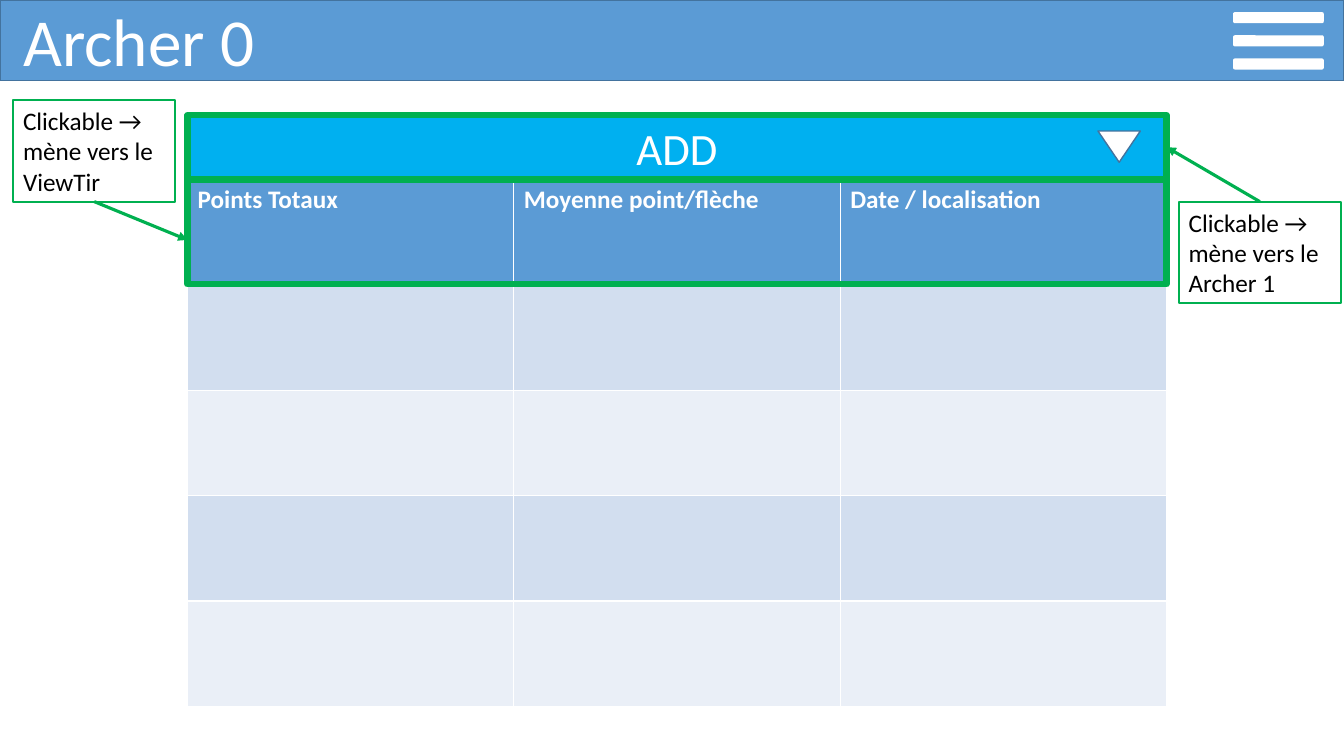
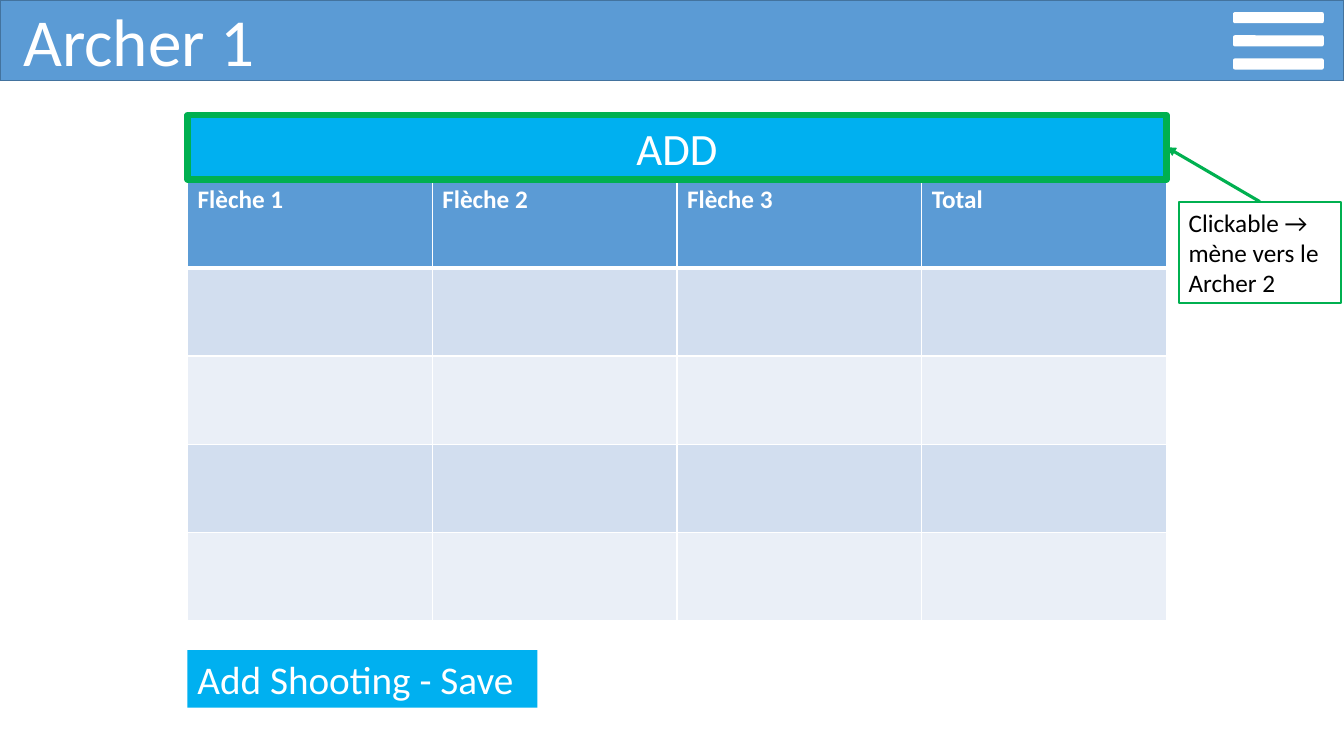
from dataclasses import dataclass

from lxml.etree import SubElement
from pptx import Presentation
from pptx.dml.color import RGBColor
from pptx.enum.shapes import MSO_CONNECTOR, MSO_SHAPE
from pptx.enum.text import MSO_ANCHOR, PP_ALIGN
from pptx.oxml.ns import qn
from pptx.util import Inches, Pt


@dataclass(frozen=True)
class Theme:
    font: str = "Calibri"
    white: str = "FFFFFF"
    black: str = "000000"
    blue: str = "5B9BD5"
    edge: str = "43739E"
    sky: str = "00B0F0"
    green: str = "00B050"
    dark: str = "D2DEEF"
    light: str = "EAEFF7"
    title: int = 48
    button: int = 32
    save: int = 28
    body: int = 18


LEFT, TOP, WIDTH, BAR = 1.86, 1.14, 9.71, 0.64
GRID = TOP + BAR
RECT = MSO_SHAPE.RECTANGLE


class Deck:
    def __init__(self, theme):
        self.theme = theme
        self.file = Presentation()
        self.file.slide_width = Inches(13.33)
        self.file.slide_height = Inches(7.5)
        self.slide = None

    def page(self, title):
        theme = self.theme
        self.slide = self.file.slides.add_slide(self.file.slide_layouts[5])
        head = self.slide.shapes.title
        head.left, head.top = Inches(0.13), Inches(-0.06)
        head.width, head.height = Inches(3.92), Inches(0.91)
        self.label(head.text_frame, title, theme.title, theme.white)
        band = self.shape(RECT, 0, 0, 13.33, 0.8, theme.blue, theme.edge)
        head.element.addprevious(band.element)
        for row in range(3):
            self.shape(MSO_SHAPE.ROUNDED_RECTANGLE,
                       12.23, 0.12 + 0.23 * row, 0.9, 0.11, theme.white)

    def label(self, frame, text, size, color, align=PP_ALIGN.LEFT,
              bold=False, anchor=MSO_ANCHOR.MIDDLE):
        frame.word_wrap = True
        frame.vertical_anchor = anchor
        para = frame.paragraphs[0]
        para.alignment = align
        run = para.add_run()
        run.text = text
        run.font.name = self.theme.font
        run.font.size = Pt(size)
        run.font.bold = bold
        run.font.color.rgb = RGBColor.from_string(color)

    def shape(self, kind, x, y, w, h, fill=None, line=None, weight=1):
        item = self.slide.shapes.add_shape(
            kind, Inches(x), Inches(y), Inches(w), Inches(h))
        item.shadow.inherit = False
        if fill:
            item.fill.solid()
            item.fill.fore_color.rgb = RGBColor.from_string(fill)
        else:
            item.fill.background()
        if line:
            item.line.color.rgb = RGBColor.from_string(line)
            item.line.width = Pt(weight)
        else:
            item.line.fill.background()
        return item

    def bar(self):
        theme = self.theme
        item = self.shape(RECT, LEFT, TOP, WIDTH, BAR,
                          theme.sky, theme.green, 4.5)
        self.label(item.text_frame, "ADD", theme.button, theme.white,
                   PP_ALIGN.CENTER)
        return item

    def note(self, x, y, goal):
        theme = self.theme
        item = self.shape(RECT, x, y, 1.61, 1.01, None, theme.green, 1.5)
        self.label(item.text_frame, f"Clickable → mène vers le {goal}",
                   theme.body, theme.black)
        return item

    def arrow(self, note, side, x, y):
        link = self.slide.shapes.add_connector(
            MSO_CONNECTOR.STRAIGHT, note.left, note.top, Inches(x), Inches(y))
        link.begin_connect(note, side)
        link.line.color.rgb = RGBColor.from_string(self.theme.green)
        link.line.width = Pt(2.25)
        props = link.element.spPr
        SubElement(props.find(qn("a:ln")), qn("a:tailEnd"), type="triangle")
        SubElement(props, qn("a:effectLst"))
        return link

    def lead(self, bar, goal):
        note = self.note(11.69, 2, goal)
        link = self.arrow(note, 0, LEFT + WIDTH, TOP + BAR / 2)
        link.end_connect(bar, 3)

    def border(self, cell, first):
        props = cell._tc.get_or_add_tcPr()
        for side in "LRTB":
            thick = 3 if first and side == "B" else 1
            edge = SubElement(props, qn(f"a:ln{side}"), w=str(Pt(thick)))
            paint = SubElement(edge, qn("a:solidFill"))
            SubElement(paint, qn("a:srgbClr"), val=self.theme.white)

    def table(self, heads, height):
        theme = self.theme
        self.shape(RECT, LEFT, TOP, WIDTH, BAR + height, None, theme.edge)
        fills = [theme.blue] + [theme.dark, theme.light] * 2
        grid = self.slide.shapes.add_table(
            len(fills), len(heads), Inches(LEFT), Inches(GRID),
            Inches(WIDTH), Inches(height)).table
        for r, fill in enumerate(fills):
            for c, text in enumerate(heads):
                cell = grid.cell(r, c)
                self.border(cell, r == 0)
                cell.fill.solid()
                cell.fill.fore_color.rgb = RGBColor.from_string(fill)
                if r == 0:
                    self.label(cell.text_frame, text, theme.body, theme.white,
                               bold=True, anchor=MSO_ANCHOR.TOP)


def main():
    theme = Theme()
    deck = Deck(theme)

    deck.page("Archer 0")
    deck.table(["Points Totaux", "Moyenne point/flèche",
                "Date / localisation"], 5.23)
    bar = deck.bar()
    deck.shape(RECT, LEFT, GRID, WIDTH, 1.04, None, theme.green, 4.5)
    view = deck.note(0.13, 0.99, "ViewTir")
    deck.arrow(view, 2, LEFT, 2.38)
    deck.lead(bar, "Archer 1")
    drop = deck.shape(MSO_SHAPE.ISOSCELES_TRIANGLE, 10.89, 1.3, 0.42, 0.31,
                      theme.white, theme.edge)
    drop.rotation = 180

    deck.page("Archer 1")
    deck.table(["Flèche 1", "Flèche 2", "Flèche 3", "Total"], 4.38)
    deck.lead(deck.bar(), "Archer 2")
    save = deck.shape(RECT, LEFT, 6.45, 3.47, 0.57, theme.sky)
    deck.label(save.text_frame, "Add Shooting - Save", theme.save, theme.white)

    deck.file.save("out.pptx")


if __name__ == "__main__":
    main()
